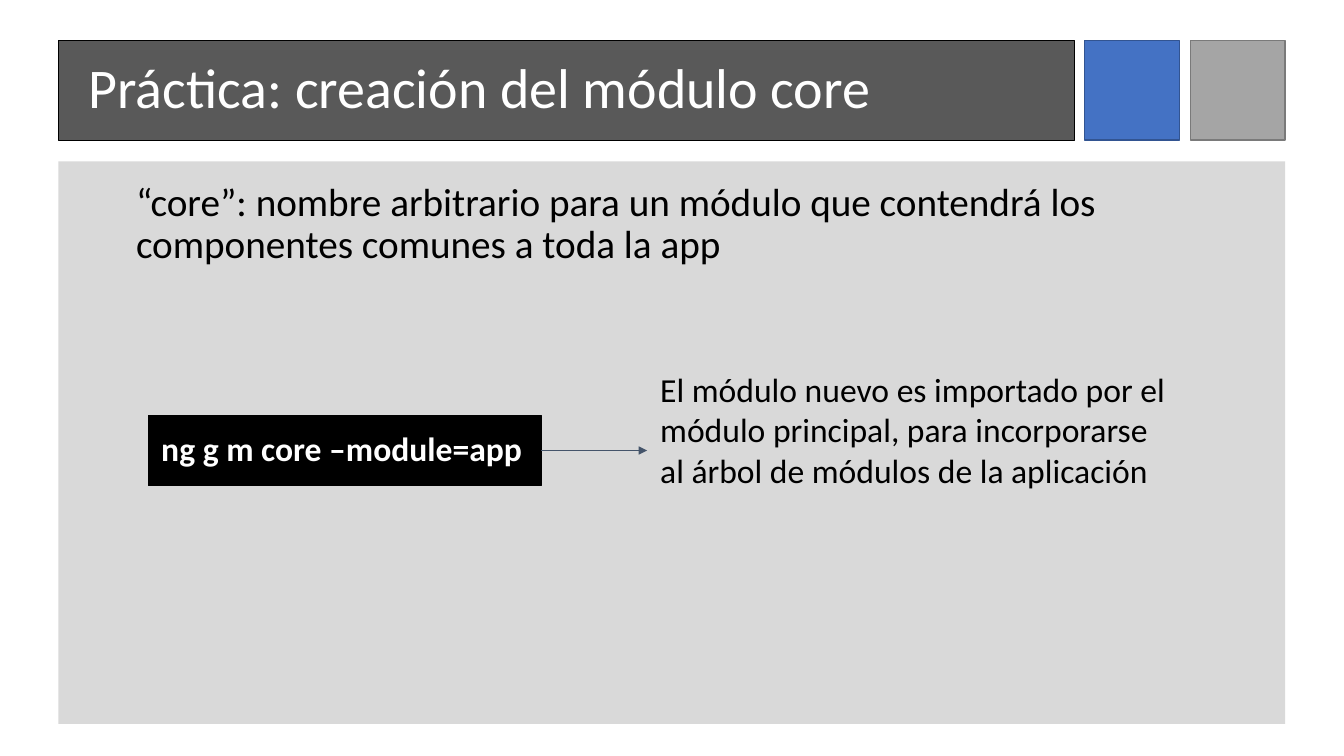
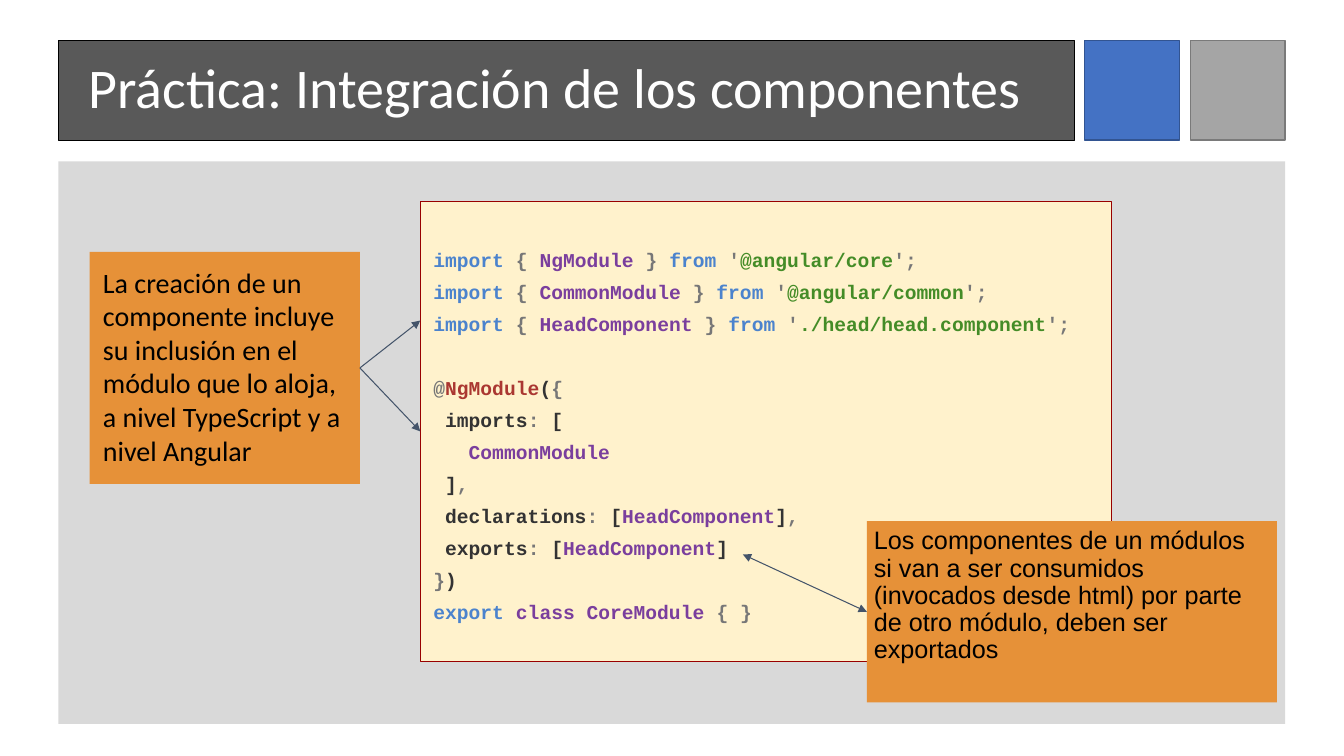
from lxml import etree
from pptx import Presentation
from pptx.dml.color import RGBColor
from pptx.enum.shapes import MSO_CONNECTOR, MSO_SHAPE
from pptx.enum.text import MSO_ANCHOR, PP_ALIGN
from pptx.oxml.ns import qn
from pptx.util import Pt

RECT = MSO_SHAPE.RECTANGLE
STRAIGHT = MSO_CONNECTOR.STRAIGHT
TOP, MIDDLE = MSO_ANCHOR.TOP, MSO_ANCHOR.MIDDLE
LEFT_ALIGN = PP_ALIGN.LEFT
LEFT, RIGHT = 1, 3  # connection sites of a rectangle

COLORS = {
    "black": "000000", "white": "FFFFFF", "title": "595959", "panel": "D9D9D9",
    "blue": "4472C4", "blue_edge": "325491", "gray": "A5A5A5", "gray_edge": "7A7A7A",
    "arrow": "44546A", "note": "E69138", "code": "FFF2CC", "code_edge": "980000",
    # Syntax colours
    "key": "4B83CD", "punct": "777777", "type": "7A3E9D",
    "str": "448C27", "deco": "AA3731", "plain": "333333",
}

# Text formats: font values, plus paragraph values
FORMATS = {
    "title": ({"name": "Calibri", "size": Pt(40)}, {"line_spacing": 0.9}),
    "lead": ({"name": "Calibri", "size": Pt(28)}, {"line_spacing": 0.9}),
    "command": ({"name": "Calibri", "size": Pt(24), "bold": True}, {}),
    "body": ({"name": "Calibri", "size": Pt(24)}, {}),
    "note": ({"name": "Calibri", "size": Pt(20)}, {}),
    "callout": ({"name": "Arial", "size": Pt(18)}, {"line_spacing": 0.9}),
    "code": ({"name": "Courier New", "size": Pt(14), "bold": True}, {"line_spacing": 1.36}),
}
CODE_GAP = Pt(22.7)  # one line of code


def import_line(name, source):
    return [("import ", "key"), ("{ ", "punct"), (name + " ", "type"), ("} ", "punct"),
            ("from ", "key"), ("'", "punct"), (source, "str"), ("';", "punct")]


def list_line(name, *end):
    return [(" " + name, "plain"), (":", "punct"), (" [", "plain"),
            ("HeadComponent", "type"), ("]", "plain"), *end]


CODE_BLOCKS = [
    [
        import_line("NgModule", "@angular/core"),
        import_line("CommonModule", "@angular/common"),
        import_line("HeadComponent", "./head/head.component"),
    ],
    [
        [("@", "punct"), ("NgModule", "deco"), ("(", "plain"), ("{", "punct")],
        [(" imports", "plain"), (":", "punct"), (" [", "plain")],
        [("   CommonModule", "type")],
        [(" ]", "plain"), (",", "punct")],
        list_line("declarations", (",", "punct")),
        list_line("exports"),
        [("}", "punct"), (")", "plain")],
        [("export ", "key"), ("class CoreModule ", "type"), ("{ }", "punct")],
    ],
]


def rgb(name):
    return RGBColor.from_string(COLORS[name])


def set_attrs(obj, values):
    for name, value in values.items():
        setattr(obj, name, value)


def add_box(s, at, fill, edge=None, width=0.75):
    sp = s.shapes.add_shape(RECT, *map(Pt, at))
    sp.shadow.inherit = False
    sp.fill.solid()
    sp.fill.fore_color.rgb = rgb(fill)
    if edge:
        sp.line.color.rgb = rgb(edge)
        sp.line.width = Pt(width)
    else:
        sp.line.fill.background()
    return sp


def add_label(s, at):
    return s.shapes.add_textbox(*map(Pt, at))


def setup_frame(sp, inset, anchor=TOP):
    tf = sp.text_frame
    set_attrs(tf, {"word_wrap": True, "vertical_anchor": anchor})
    for side in ("left", "top", "right", "bottom"):
        setattr(tf, "margin_" + side, Pt(inset))
    return tf


def write_runs(p, runs, style):
    font, paragraph = FORMATS[style]
    set_attrs(p, {"alignment": LEFT_ALIGN, **paragraph})
    for text, color in runs:
        r = p.add_run()
        r.text = text
        set_attrs(r.font, font)
        r.font.color.rgb = rgb(color)


def write(sp, text, style, color="black", inset=9.4, anchor=TOP):
    tf = setup_frame(sp, inset, anchor)
    write_runs(tf.paragraphs[0], [(text, color)], style)
    return tf


def write_code(sp, blocks):
    tf = setup_frame(sp, 9.4, MIDDLE)
    p = tf.paragraphs[0]
    for b, block in enumerate(blocks):
        for i, runs in enumerate(block):
            if b or i:
                p = tf.add_paragraph()
            if b and i == 0:
                p.space_before = CODE_GAP
            write_runs(p, runs, "code")


def add_arrow(s, start, end, ends=("tailEnd",)):
    """Join start (shape, site) to end, which is (shape, site) or a point."""
    cx = s.shapes.add_connector(STRAIGHT, 0, 0, 0, 0)
    cx.begin_connect(*start)
    if isinstance(end[0], (int, float)):
        cx.end_x, cx.end_y = map(Pt, end)
    else:
        cx.end_connect(*end)
    cx.line.color.rgb = rgb("arrow")
    cx.line.width = Pt(0.75)
    ln = cx.line._get_or_add_ln()
    for tag in ends:
        etree.SubElement(ln, qn("a:" + tag), type="triangle")
    etree.SubElement(cx._element.spPr, qn("a:effectLst"))


def add_slide(prs, title):
    """Slide with the shared title band, two squares and content panel."""
    s = prs.slides.add_slide(prs.slide_layouts[6])
    for left, color in ((850.3, "gray"), (774.7, "blue")):
        add_box(s, (left, 28.8, 67.7, 71.3), color, color + "_edge", 1)
    add_box(s, (41.8, 115.2, 876.2, 401.8), "panel")
    band = add_box(s, (41.8, 28.8, 725.8, 71.3), "title", "black", 0.5)
    tf = write(band, title, "title", "white", 3.6, MIDDLE)
    tf.margin_left, tf.margin_right = Pt(21.6), Pt(7.2)
    return s


def build_core_module(prs):
    s = add_slide(prs, "Práctica: creación del módulo core")
    lead = add_label(s, (92.2, 125.3, 823, 77.8))
    write(lead, "“core”: nombre arbitrario para un módulo que contendrá los "
          "componentes comunes a toda la app", "lead", inset=5)

    # Command and its effect
    command = add_box(s, (105.8, 296.6, 280.8, 50.4), "black", "black")
    write(command, "ng g m core –module=app", "command", "white")
    effect = add_label(s, (462.2, 254.1, 379.4, 135.4))
    write(effect, "El módulo nuevo es importado por el módulo principal, para "
          "incorporarse al árbol de módulos de la aplicación", "body")
    add_arrow(s, (command, RIGHT), (effect, LEFT))


def build_integration(prs):
    s = add_slide(prs, "Práctica: Integración de los componentes")
    code = add_box(s, (300.2, 144, 493.9, 328.3), "code", "code_edge")
    write_code(code, CODE_BLOCKS)

    # Note on declaring the component
    note = add_box(s, (64.1, 180, 193, 165.6), "note")
    write(note, "La creación de un componente incluye su inclusión en el módulo "
          "que lo aloja, a nivel TypeScript y a nivel Angular", "note")
    add_arrow(s, (note, RIGHT), (300.2, 229))
    add_arrow(s, (note, RIGHT), (code, LEFT))

    # Note on exporting the component
    callout = add_box(s, (619.2, 372.2, 293, 129.6), "note")
    write(callout, "Los componentes de un módulos si van a ser consumidos "
          "(invocados desde html) por parte de otro módulo, deben ser exportados",
          "callout", inset=5)
    add_arrow(s, (callout, LEFT), (530.6, 396), ("headEnd", "tailEnd"))


def main():
    prs = Presentation()
    prs.slide_width, prs.slide_height = Pt(960), Pt(540)
    build_core_module(prs)
    build_integration(prs)
    prs.save("out.pptx")


if __name__ == "__main__":
    main()
